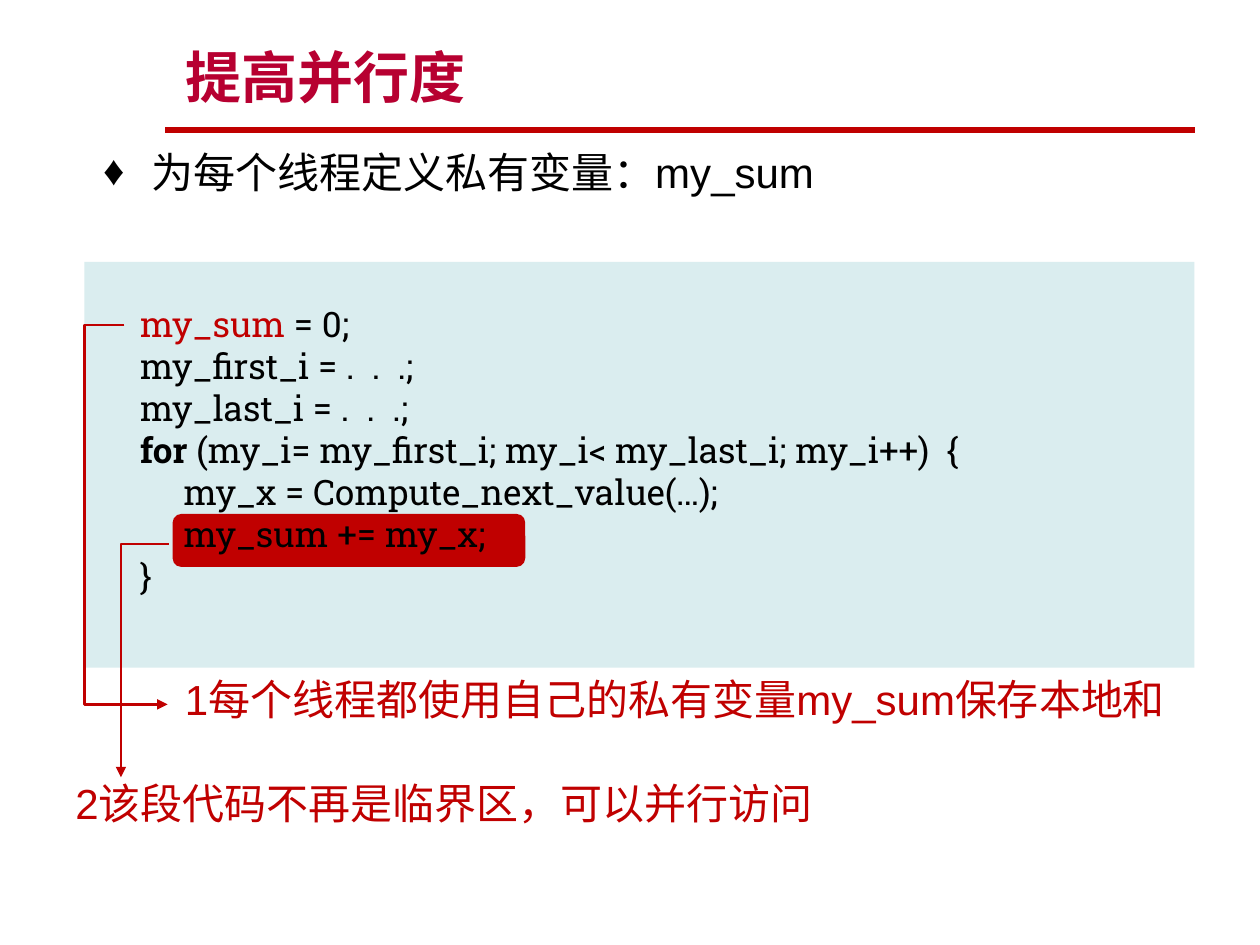
from lxml.etree import SubElement as Sub
from pptx import Presentation
from pptx.dml.color import RGBColor as RGB
from pptx.enum.shapes import MSO_CONNECTOR as LINK, MSO_SHAPE as SHAPE
from pptx.enum.text import MSO_ANCHOR as ANCHOR, PP_ALIGN as ALIGN
from pptx.oxml.ns import qn
from pptx.util import Cm, Pt

# Content
HEAD = "提高并行度"
POINT = "为每个线程定义私有变量：my_sum"
CODE = [  # runs: text, colour, bold
    [("my_sum", "red", False), (" = 0;", "ink", False)],
    [("my_first_i = .  .  .;", "ink", False)],
    [("my_last_i = .  .  .;", "ink", False)],
    [("for ", "ink", True),
     ("(my_i= my_first_i; my_i< my_last_i; my_i++)  {", "ink", False)],
    [("     my_x = Compute_next_value(…);", "ink", False)],
    [("     my_sum += my_x;", "ink", False)],
    [("}", "ink", False)],
]
NOTES = [  # text, box in cm
    ("1每个线程都使用自己的私有变量my_sum保存本地和", (3.48, 13.46, 20.47, 1.3)),
    ("2该段代码不再是临界区，可以并行访问", (1.27, 15.54, 15.52, 1.27)),
]
THEME = {
    "red": "C00000", "ink": "000000", "head": "B70031", "panel": "DAEDEF",
    "sans": "Arial", "slab": "Roboto Slab",
    "title": 32, "body": 24, "code": 20,
}


def tint(name):
    return RGB.from_string(THEME[name])


def style(run, font, size, color, bold=False):
    run.font.name = THEME[font]
    run.font.size = Pt(THEME[size])
    run.font.color.rgb = tint(color)
    run.font.bold = bold


def block(kind, box, fill):
    part = slide.shapes.add_shape(kind, *map(Cm, box))
    part.shadow.inherit = False
    part.fill.solid()
    part.fill.fore_color.rgb = tint(fill)
    part.line.fill.background()


def write(box, text=""):
    part = slide.shapes.add_textbox(*map(Cm, box))
    frame = part.text_frame
    frame.word_wrap = True
    frame.text = text
    for run in frame.paragraphs[0].runs:
        style(run, "sans", "body", "red")
    return frame


def link(kind, start, end, width, arrow=True):
    part = slide.shapes.add_connector(kind, *map(Cm, start + end))
    part.line.color.rgb = tint("red")
    part.line.width = Pt(width)
    if arrow:
        Sub(part.line._get_or_add_ln(), qn("a:tailEnd"), type="triangle")
    Sub(part._element.spPr, qn("a:effectLst"))
    return part._element.spPr.find(qn("a:prstGeom"))


deck = Presentation()
deck.slide_width, deck.slide_height = Cm(25.4), Cm(19.05)
slide = deck.slides.add_slide(deck.slide_layouts[5])

# Title and the rule below it
link(LINK.STRAIGHT, (3.33, 2.62), (24.08, 2.62), 3, arrow=False)
title = slide.shapes.title
title.left, title.top, title.width, title.height = map(
    Cm, (3.48, 0.64, 20.32, 1.7))
title.text_frame.text = HEAD
title.text_frame.vertical_anchor = ANCHOR.BOTTOM
line = title.text_frame.paragraphs[0]
line.alignment = ALIGN.LEFT
style(line.runs[0], "sans", "title", "head", True)

# Bullet point
frame = write((1.9, 3.12, 22.99, 0.91), POINT)
frame.margin_left = frame.margin_right = Cm(0.18)
frame.margin_top = frame.margin_bottom = Cm(0.08)
line = frame.paragraphs[0]
line.line_spacing = 0.75
props = line._p.get_or_add_pPr()
props.set("marL", str(Cm(0.97)))
props.set("indent", str(-Cm(0.97)))
Sub(props, qn("a:buFont"), typeface=THEME["sans"])
Sub(props, qn("a:buChar"), char="♦")
style(line.runs[0], "sans", "body", "ink")

# Code panel, highlight and code
block(SHAPE.RECTANGLE, (1.7, 5.28, 22.38, 8.18), "panel")
block(SHAPE.ROUNDED_RECTANGLE, (3.48, 10.36, 7.11, 1.07), "red")
frame = write((2.57, 5.97, 19.76, 6.25))
for i, runs in enumerate(CODE):
    line = frame.add_paragraph() if i else frame.paragraphs[0]
    for text, color, bold in runs:
        run = line.add_run()
        run.text = text
        style(run, "slab", "code", color, bold)

# Notes and the arrows leading to them
for text, box in NOTES:
    write(box, text)
geom = link(LINK.ELBOW, (2.51, 6.55), (3.38, 14.2), 1.5)
Sub(geom.find(qn("a:avLst")), qn("a:gd"), name="adj1", fmla="val -92000")
geom = link(LINK.ELBOW, (3.4, 10.97), (2.44, 15.67), 1.5)
geom.set("prst", "bentConnector2")

deck.save("out.pptx")
